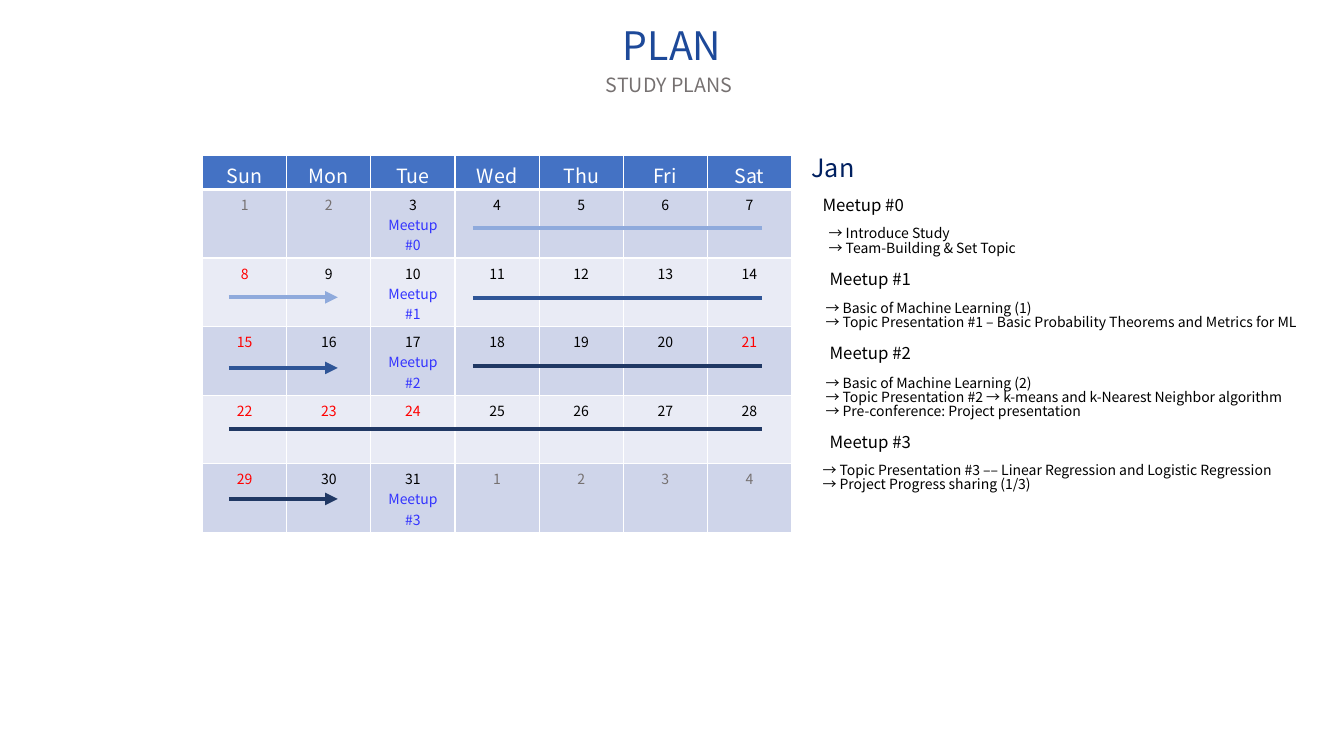
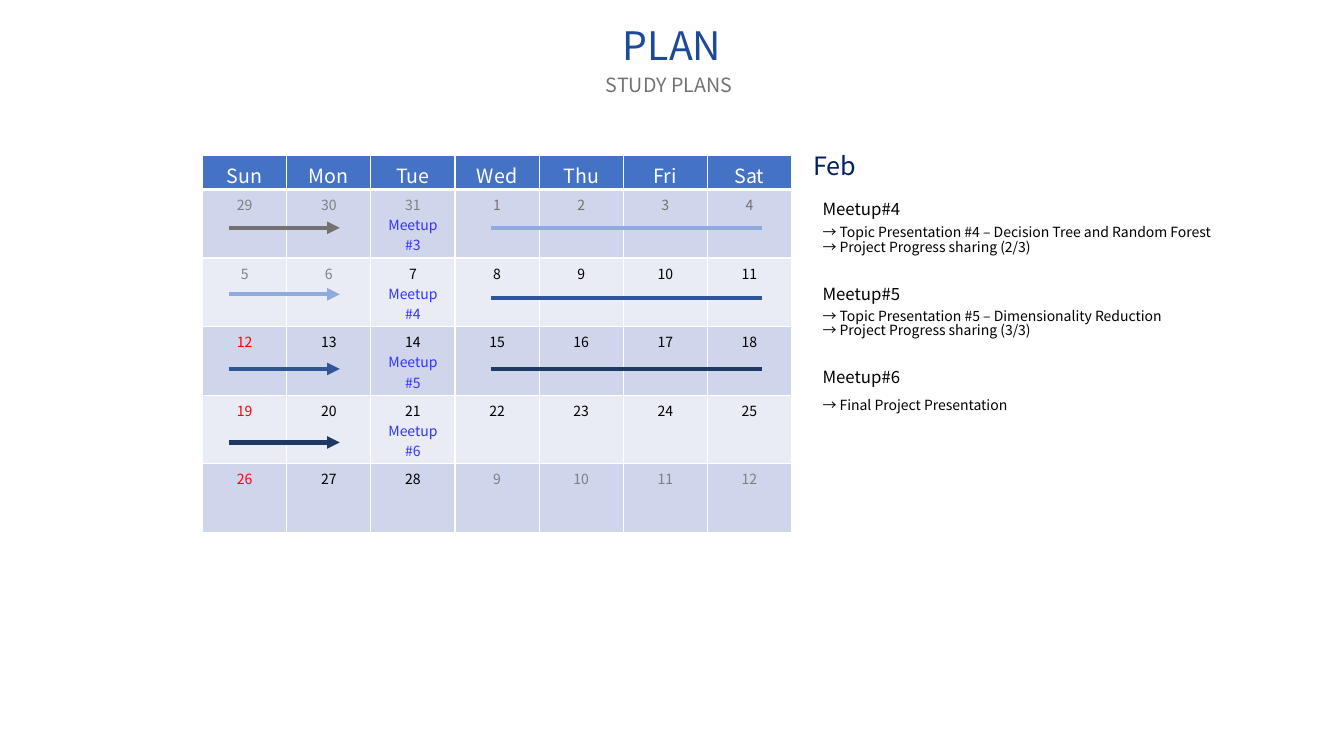
"""Build the two monthly study plan slides."""

from dataclasses import dataclass
from typing import NamedTuple

from lxml.etree import SubElement
from pptx import Presentation
from pptx.dml.color import RGBColor
from pptx.enum.shapes import MSO_CONNECTOR
from pptx.enum.text import MSO_ANCHOR, MSO_AUTO_SIZE, PP_ALIGN
from pptx.oxml.ns import qn
from pptx.slide import Slide
from pptx.table import _Cell
from pptx.text.text import TextFrame
from pptx.util import Inches, Pt


@dataclass(frozen=True)
class Theme:
    font: str = "Noto Sans CJK KR"
    title: str = "1D4999"
    month: str = "002060"
    ink: str = "000000"
    paper: str = "FFFFFF"
    muted: str = "767171"
    faded: str = "808080"
    holiday: str = "FF0000"
    meetup: str = "3333FF"
    header: str = "4472C4"
    bands: tuple[str, str] = ("CFD5EA", "E9EBF5")
    light: str = "8FAADC"
    medium: str = "2F5597"
    dark: str = "203864"
    title_size: int = 28
    month_size: int = 18
    subtitle_size: int = 14
    topic_size: int = 12
    body_size: int = 10
    span_width: int = 3
    heading_spacing: float = 0.89
    body_spacing: float = 0.84


THEME = Theme()
DAY_NAMES = ("Sun", "Mon", "Tue", "Wed", "Thu", "Fri", "Sat")
MEETUP_COLUMN = DAY_NAMES.index("Tue")
DAY_MARKS = {"!": THEME.holiday, "~": THEME.muted, "-": THEME.faded}
TABLE_LEFT, TABLE_TOP, TABLE_WIDTH = 2.01, 1.54, 5.84
HEADER_HEIGHT, WEEK_HEIGHT = 0.34, 0.68
TOPIC_LEFT, TOPIC_WIDTH = 8.06, 3.55
SPAN_START, SPAN_END = 2.27, 7.56


class Box(NamedTuple):
    left: float
    top: float
    width: float
    height: float


class Week(NamedTuple):
    days: str
    meetup: str = ""


class Meetup(NamedTuple):
    topic: str
    topic_left: float
    topic_top: float
    agenda: tuple[str, ...]
    agenda_box: Box


class Span(NamedTuple):
    start: float
    end: float
    y: float
    colour: str
    arrow: bool = False


@dataclass(frozen=True)
class Month:
    name: str
    name_box: Box
    weeks: tuple[Week, ...]
    meetups: tuple[Meetup, ...]
    spans: tuple[Span, ...]


JANUARY = Month(
    "Jan",
    Box(7.95, 1.5, 1.43, 0.4),
    (
        Week("1~ 2~ 3 4 5 6 7", "#0"),
        Week("8! 9 10 11 12 13 14", "#1"),
        Week("15! 16 17 18 19 20 21!", "#2"),
        Week("22! 23! 24! 25 26 27 28"),
        Week("29! 30 31 1~ 2~ 3~ 4~", "#3"),
    ),
    (
        Meetup("Meetup #0", TOPIC_LEFT, 1.91,
               ("→ Introduce Study", "→ Team-Building & Set Topic"),
               Box(8.12, 2.21, 3.55, 0.44)),
        Meetup("Meetup #1", 8.13, 2.64,
               ("→ Basic of Machine Learning (1)",
                "→ Topic Presentation #1 – Basic Probability Theorems and Metrics for ML"),
               Box(8.09, 2.95, 4.95, 0.44)),
        Meetup("Meetup #2", 8.13, 3.38,
               ("→ Basic of Machine Learning (2)",
                "→ Topic Presentation #2 → k-means and k-Nearest Neighbor algorithm",
                "→ Pre-conference: Project presentation"),
               Box(8.09, 3.69, 5.2, 0.61)),
        Meetup("Meetup #3", 8.13, 4.26,
               ("→ Topic Presentation #3 –– Linear Regression and Logistic Regression",
                "→ Project Progress sharing (1/3)"),
               Box(TOPIC_LEFT, 4.56, 4.81, 0.44)),
    ),
    (
        Span(4.69, SPAN_END, 2.26, THEME.light),
        Span(SPAN_START, 3.35, 2.95, THEME.light, True),
        Span(4.69, SPAN_END, 2.96, THEME.medium),
        Span(SPAN_START, 3.35, 3.65, THEME.medium, True),
        Span(4.69, SPAN_END, 3.63, THEME.dark),
        Span(SPAN_START, SPAN_END, 4.26, THEME.dark),
        Span(SPAN_START, 3.35, 4.95, THEME.dark, True),
    ),
)

FEBRUARY = Month(
    "Feb",
    Box(7.97, 1.48, 1.43, 0.4),
    (
        Week("29- 30- 31- 1~ 2~ 3~ 4~", "#3"),
        Week("5- 6- 7 8 9 10 11", "#4"),
        Week("12! 13 14 15 16 17 18", "#5"),
        Week("19! 20 21 22 23 24 25", "#6"),
        Week("26! 27 28 9- 10- 11- 12-"),
    ),
    (
        Meetup("Meetup#4", TOPIC_LEFT, 1.95,
               ("→ Topic Presentation #4 – Decision Tree and Random Forest",
                "→ Project Progress sharing (2/3)"),
               Box(TOPIC_LEFT, 2.2, 4.5, 0.44)),
        Meetup("Meetup#5", TOPIC_LEFT, 2.79,
               ("→ Topic Presentation #5 – Dimensionality Reduction",
                "→ Project Progress sharing (3/3)"),
               Box(TOPIC_LEFT, 3.03, 4.22, 0.44)),
        Meetup("Meetup#6", TOPIC_LEFT, 3.61,
               ("→ Final Project Presentation",),
               Box(TOPIC_LEFT, 3.91, 3.7, 0.27)),
    ),
    (
        Span(SPAN_START, 3.37, 2.26, THEME.muted, True),
        Span(4.87, SPAN_END, 2.26, THEME.light),
        Span(SPAN_START, 3.37, 2.92, THEME.light, True),
        Span(4.87, SPAN_END, 2.96, THEME.medium),
        Span(SPAN_START, 3.37, 3.66, THEME.medium, True),
        Span(4.87, SPAN_END, 3.66, THEME.dark),
        Span(SPAN_START, 3.37, 4.39, THEME.dark, True),
    ),
)


def write(frame: TextFrame, *lines: str, size: int, colour: str = THEME.ink,
          later_colour: str | None = None, align: PP_ALIGN = PP_ALIGN.LEFT,
          spacing: float = 1.0) -> None:
    """Fill a text frame with one paragraph per line."""
    for index, line in enumerate(lines):
        paragraph = frame.add_paragraph() if index else frame.paragraphs[0]
        paragraph.alignment = align
        paragraph.line_spacing = spacing
        run = paragraph.add_run()
        run.text = line
        font = run.font
        font.name, font.size, font.bold = THEME.font, Pt(size), False
        shade = later_colour if index and later_colour else colour
        font.color.rgb = RGBColor.from_string(shade)
        SubElement(run._r.get_or_add_rPr(), qn("a:ea"), typeface=THEME.font)


def add_text(slide: Slide, box: Box, *lines: str, size: int, colour: str = THEME.ink,
             align: PP_ALIGN = PP_ALIGN.LEFT,
             spacing: float = THEME.heading_spacing) -> None:
    """Place a wrapping text box on the slide."""
    frame = slide.shapes.add_textbox(*map(Inches, box)).text_frame
    frame.word_wrap = True
    frame.auto_size = MSO_AUTO_SIZE.SHAPE_TO_FIT_TEXT
    write(frame, *lines, size=size, colour=colour, align=align, spacing=spacing)


def style_cell(cell: _Cell, fill: str, top: int = 1, bottom: int = 1) -> None:
    """Give a cell its white borders, fill and margins."""
    properties = cell._tc.get_or_add_tcPr()
    for side, width in (("L", 1), ("R", 1), ("T", top), ("B", bottom)):
        border = SubElement(properties, qn(f"a:ln{side}"), w=str(Pt(width)))
        SubElement(SubElement(border, qn("a:solidFill")), qn("a:srgbClr"), val=THEME.paper)
    cell.fill.solid()
    cell.fill.fore_color.rgb = RGBColor.from_string(fill)
    cell.margin_bottom = 0


def add_calendar(slide: Slide, weeks: tuple[Week, ...]) -> None:
    """Draw the month as a table with one row per week."""
    height = HEADER_HEIGHT + WEEK_HEIGHT * len(weeks)
    box = Box(TABLE_LEFT, TABLE_TOP, TABLE_WIDTH, height)
    table = slide.shapes.add_table(
        len(weeks) + 1, len(DAY_NAMES), *map(Inches, box)).table
    table.first_row = table.horz_banding = False
    table.rows[0].height = Inches(HEADER_HEIGHT)
    for column, name in enumerate(DAY_NAMES):
        cell = table.cell(0, column)
        style_cell(cell, THEME.header, bottom=3)
        cell.vertical_anchor = MSO_ANCHOR.MIDDLE
        write(cell.text_frame, name, size=THEME.subtitle_size, colour=THEME.paper,
              align=PP_ALIGN.CENTER)
    for row, week in enumerate(weeks, start=1):
        table.rows[row].height = Inches(WEEK_HEIGHT)
        for column, day in enumerate(week.days.split()):
            cell = table.cell(row, column)
            style_cell(cell, THEME.bands[(row - 1) % 2], top=3 if row == 1 else 1)
            has_meetup = week.meetup and column == MEETUP_COLUMN
            event = ("Meetup", week.meetup) if has_meetup else ()
            write(cell.text_frame, day.rstrip("!~-"), *event, size=THEME.body_size,
                  colour=DAY_MARKS.get(day[-1], THEME.ink), later_colour=THEME.meetup,
                  align=PP_ALIGN.CENTER)


def add_span(slide: Slide, span: Span) -> None:
    """Draw a preparation period across the calendar."""
    connector = slide.shapes.add_connector(
        MSO_CONNECTOR.STRAIGHT, Inches(span.start), Inches(span.y),
        Inches(span.end), Inches(span.y))
    connector.line.color.rgb = RGBColor.from_string(span.colour)
    connector.line.width = Pt(THEME.span_width)
    if span.arrow:
        SubElement(connector.line._get_or_add_ln(), qn("a:tailEnd"), type="triangle")
    SubElement(connector._element.spPr, qn("a:effectLst"))


def add_month(slide: Slide, month: Month) -> None:
    """Draw a month's heading, calendar, meetups and periods."""
    add_text(slide, Box(2.72, 0.22, 7.89, 0.57), "PLAN", size=THEME.title_size,
             colour=THEME.title, align=PP_ALIGN.CENTER)
    add_text(slide, Box(4.44, 0.7, 4.39, 0.34), "STUDY PLANS", size=THEME.subtitle_size,
             colour=THEME.muted, align=PP_ALIGN.CENTER)
    add_calendar(slide, month.weeks)
    add_text(slide, month.name_box, month.name, size=THEME.month_size, colour=THEME.month)
    for meetup in month.meetups:
        add_text(slide, Box(meetup.topic_left, meetup.topic_top, TOPIC_WIDTH, 0.3),
                 meetup.topic, size=THEME.topic_size)
        add_text(slide, meetup.agenda_box, *meetup.agenda, size=THEME.body_size,
                 spacing=THEME.body_spacing)
    for span in month.spans:
        add_span(slide, span)


def main() -> None:
    """Build and save the presentation."""
    presentation = Presentation()
    presentation.slide_width, presentation.slide_height = Inches(13.33), Inches(7.5)
    for month in (JANUARY, FEBRUARY):
        add_month(presentation.slides.add_slide(presentation.slide_layouts[6]), month)
    presentation.save("out.pptx")


if __name__ == "__main__":
    main()
